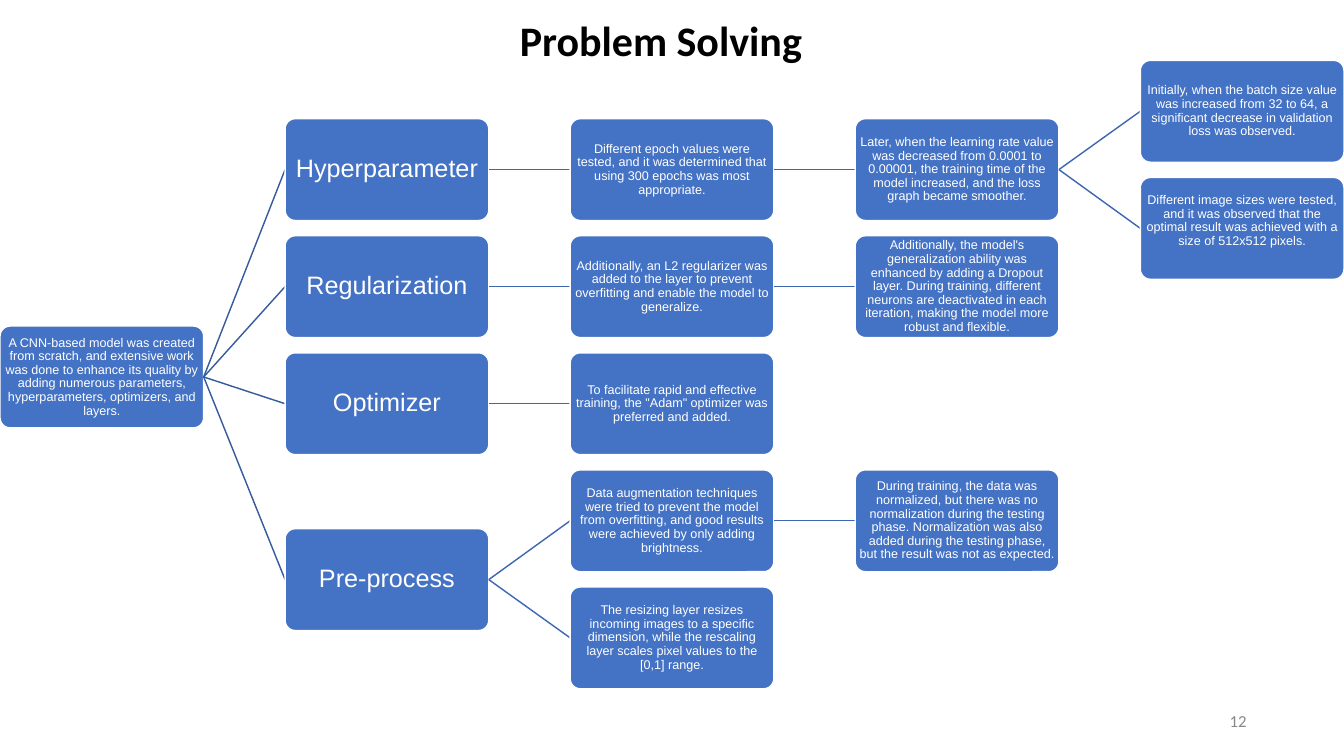
from lxml import etree
from pptx import Presentation
from pptx.dml.color import RGBColor
from pptx.enum.shapes import MSO_CONNECTOR, MSO_SHAPE
from pptx.enum.text import MSO_ANCHOR as ANCHOR, PP_ALIGN as ALIGN
from pptx.oxml.ns import qn
from pptx.util import Pt

TITLE = "Problem Solving"
PAGE = "12"

# Each node: (half-rows below the first box, text, children)
ROOT_TEXT = (
    "A CNN-based model was created from scratch, and extensive work was done to enhance "
    "its quality by adding numerous parameters, hyperparameters, optimizers, and layers."
)
BRANCHES = [
    (1, "Hyperparameter", [
        (1, "Different epoch values were tested, and it was determined that using 300 epochs "
            "was most appropriate.", [
            (1, "Later, when the learning rate value was decreased from 0.0001 to 0.00001, the "
                "training time of the model increased, and the loss graph became smoother.", [
                (0, "Initially, when the batch size value was increased from 32 to 64, a "
                    "significant decrease in validation loss was observed.", []),
                (2, "Different image sizes were tested, and it was observed that the optimal "
                    "result was achieved with a size of 512x512 pixels.", []),
            ]),
        ]),
    ]),
    (3, "Regularization", [
        (3, "Additionally, an L2 regularizer was added to the layer to prevent overfitting and "
            "enable the model to generalize.", [
            (3, "Additionally, the model's generalization ability was enhanced by adding a "
                "Dropout layer. During training, different neurons are deactivated in each "
                "iteration, making the model more robust and flexible.", []),
        ]),
    ]),
    (5, "Optimizer", [
        (5, "To facilitate rapid and effective training, the \"Adam\" optimizer was preferred "
            "and added.", []),
    ]),
    (8, "Pre-process", [
        (7, "Data augmentation techniques were tried to prevent the model from overfitting, and "
            "good results were achieved by only adding brightness.", [
            (7, "During training, the data was normalized, but there was no normalization during "
                "the testing phase. Normalization was also added during the testing phase, but "
                "the result was not as expected.", []),
        ]),
        (9, "The resizing layer resizes incoming images to a specific dimension, while the "
            "rescaling layer scales pixel values to the [0,1] range.", []),
    ]),
]

BLUE = RGBColor(0x44, 0x72, 0xC4)
ROOT_LINE = RGBColor(0x36, 0x5B, 0x9D)
LINE = RGBColor(0x3E, 0x67, 0xB2)
WHITE = RGBColor(0xFF, 0xFF, 0xFF)
BLACK = RGBColor(0, 0, 0)
GRAY = RGBColor(0x88, 0x88, 0x88)

EMU_PER_PX = 9525
SLIDE_W, SLIDE_H = 2560, 1440
BOX_W, BOX_H = 388, 194
COL_STEP, ROW_STEP = 543, 223
FIRST_TOP, ROOT_TOP = 115, 621
HEADING_COL = 1
RAISED_TEXT = "Different image sizes"
RAISED_INSET = 29


def px(n):
    return n * EMU_PER_PX


def write(tf, text, font, size, color, align, bold=False):
    tf.word_wrap = True
    p = tf.paragraphs[0]
    p.alignment = align
    r = p.add_run()
    r.text = text
    r.font.name, r.font.size, r.font.bold = font, Pt(size), bold
    r.font.color.rgb = color
    return p


def add_label(slide, box, text, size, color, align, anchor, bold=False):
    tf = slide.shapes.add_textbox(*map(px, box)).text_frame
    tf.vertical_anchor = anchor
    write(tf, text, "Calibri", size, color, align, bold)


def add_box(slide, col, top, text):
    sp = slide.shapes.add_shape(MSO_SHAPE.ROUNDED_RECTANGLE, px(col * COL_STEP), px(top),
                                px(BOX_W), px(BOX_H))
    sp.adjustments[0] = 0.1
    sp.shadow.inherit = False
    sp.fill.solid()
    sp.fill.fore_color.rgb = BLUE
    sp.line.color.rgb = WHITE
    sp.line.width = Pt(2)
    is_heading = col == HEADING_COL
    inset = px(3 if is_heading else 1)
    tf = sp.text_frame
    tf.margin_left = tf.margin_right = tf.margin_top = tf.margin_bottom = inset
    if text.startswith(RAISED_TEXT):
        tf.margin_bottom = px(RAISED_INSET)
    tf.vertical_anchor = ANCHOR.MIDDLE
    p = write(tf, text, "Arial", 36 if is_heading else 18, WHITE, ALIGN.CENTER)
    p.line_spacing = 0.9
    return sp


def link(slide, parent, child, color):
    """Join two boxes, keeping the line behind the child's white border."""
    line = slide.shapes.add_connector(MSO_CONNECTOR.STRAIGHT, 0, 0, 0, 0)
    line.begin_connect(parent, 3)
    line.end_connect(child, 1)
    line.line.color.rgb = color
    line.line.width = Pt(2)
    etree.SubElement(line._element.spPr, qn("a:effectLst"))
    child._element.addprevious(line._element)


def add_children(slide, parent, nodes, col):
    for half_rows, text, children in nodes:
        sp = add_box(slide, col, FIRST_TOP + half_rows * ROW_STEP // 2, text)
        link(slide, parent, sp, ROOT_LINE if col == HEADING_COL else LINE)
        add_children(slide, sp, children, col + 1)


def main():
    prs = Presentation()
    prs.slide_width, prs.slide_height = px(SLIDE_W), px(SLIDE_H)
    slide = prs.slides.add_slide(prs.slide_layouts[6])
    add_label(slide, (1808, 1334, 576, 77), PAGE, 24, GRAY, ALIGN.RIGHT, ANCHOR.MIDDLE)
    add_label(slide, (840, 22, 838, 107), TITLE, 60, BLACK, ALIGN.CENTER, ANCHOR.TOP, bold=True)
    root = add_box(slide, 0, ROOT_TOP, ROOT_TEXT)
    add_children(slide, root, BRANCHES, HEADING_COL)
    prs.save("out.pptx")


if __name__ == "__main__":
    main()
